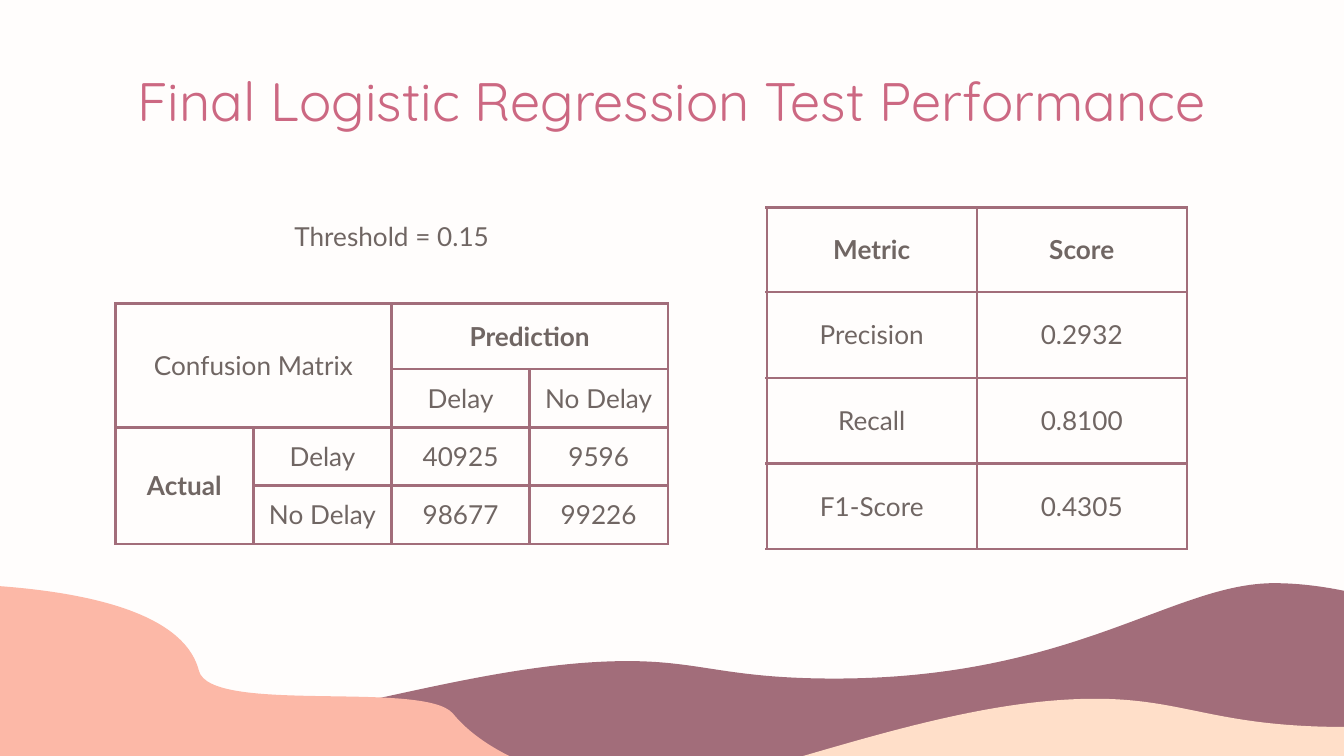
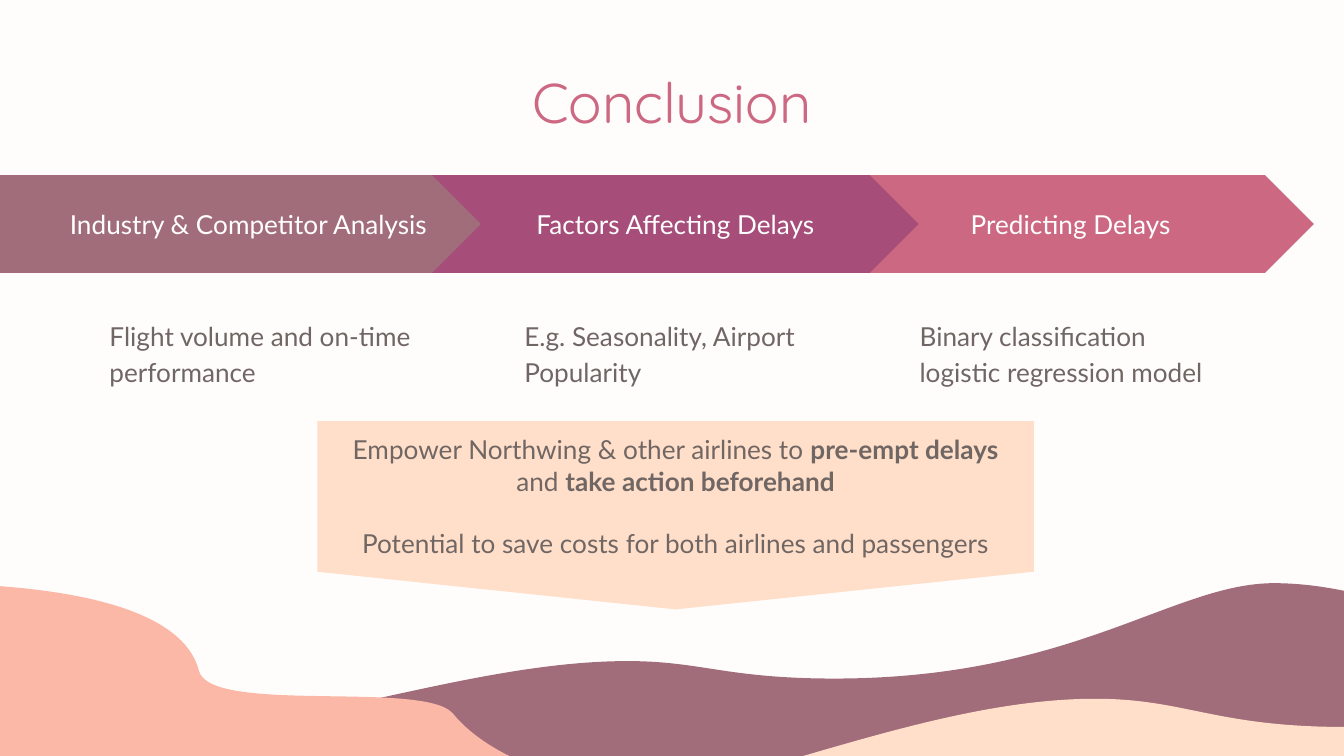
from dataclasses import dataclass
from typing import Any

import lxml.etree
import pptx
import pptx.dml.color
import pptx.enum.shapes
import pptx.enum.text
import pptx.oxml.ns
import pptx.slide
import pptx.util

Cm = pptx.util.Cm
Pt = pptx.util.Pt
qn = pptx.oxml.ns.qn
ALIGN = pptx.enum.text.PP_ALIGN
ANCHOR = pptx.enum.text.MSO_ANCHOR
PRESET = pptx.enum.shapes.MSO_SHAPE

PAPER, INK, WHITE = "FFFDFC", "706663", "FFFFFF"
ROSE, PLUM, MAUVE = "CC6882", "A64D79", "A26D7A"
PEACH, CREAM = "FCB8A7", "FFDFC9"
BODY_FONT, TITLE_FONT = "Lato", "Quicksand"
INSET = Cm(0.25)
BORDER = Pt(1.5)
WAVE_GRID = 1000  # drawing units per inch

Point = tuple[float, float]
Run = tuple[str, bool]


@dataclass(frozen=True)
class Box:
    """A place on the slide, in centimetres."""
    left: float
    top: float
    width: float
    height: float

    def emu(self) -> list[int]:
        return [Cm(v) for v in (self.left, self.top, self.width, self.height)]


@dataclass(frozen=True)
class Wave:
    """An outline in inches: a start, then curves (6 numbers) or lines (2)."""
    color: str
    start: Point
    segments: tuple[tuple[float, ...], ...]


@dataclass(frozen=True)
class Grid:
    left: float
    top: float
    column_width: float
    row_heights: tuple[float, ...]
    rows: tuple[tuple[str, ...], ...]
    bold_labels: tuple[str, ...]
    merges: tuple[tuple[int, int, int, int], ...] = ()


@dataclass(frozen=True)
class Step:
    label: str
    detail: str
    color: str
    preset: Any
    left: float
    width: float
    detail_left: float


WAVES = (
    Wave(MAUVE, (9.48, 4.34), (
        (8.73, 4.34, 7.99, 5.05, 6.21, 5.05), (5.4, 5.05, 5.22, 4.92, 4.67, 4.92),
        (3.73, 4.92, 2.69, 5.27, 1.76, 5.4), (1.32, 5.47, 0.91, 5.59, 0.49, 5.71),
        (0.49, 6.47),
        (1.29, 6.25, 2.22, 6.08, 3.14, 6.08), (4.27, 6.08, 5.15, 6.38, 6.31, 6.38),
        (7.89, 6.38, 7.69, 5.81, 9.21, 5.81), (9.65, 5.81, 10.17, 5.87, 10.71, 5.92),
        (10.71, 4.59), (10.29, 4.46, 9.89, 4.34, 9.48, 4.34))),
    Wave(PEACH, (-0.68, 4.34), (
        (-0.68, 6.96),
        (-0.54, 6.95, -0.38, 6.94, -0.24, 6.94), (0.93, 6.94, 1.15, 7.29, 1.71, 7.29),
        (2.08, 7.29, 3.54, 6.82, 5.14, 6.82), (6.22, 6.82, 6.53, 6.99, 7.03, 6.99),
        (7.05, 6.99, 7.06, 6.99, 7.08, 6.99), (7.57, 6.99, 7.97, 6.82, 7.96, 6.61),
        (7.96, 5.94, 4.22, 6.35, 3.37, 5.31), (3.16, 5.06, 1.56, 5.32, 1.48, 4.99),
        (1.35, 4.49, 0.39, 4.34, -0.63, 4.34))),
    Wave(CREAM, (13.94, 4.27), (
        (13.03, 4.27, 12.14, 5.41, 10.01, 5.41), (9.04, 5.41, 8.82, 5.2, 8.15, 5.2),
        (7.03, 5.2, 5.78, 5.75, 4.67, 5.97), (4.14, 6.08, 3.64, 6.27, 3.14, 6.46),
        (3.14, 7.68),
        (4.1, 7.32, 5.22, 7.05, 6.33, 7.05), (7.68, 7.05, 8.73, 7.53, 10.13, 7.53),
        (12.03, 7.53, 11.79, 6.62, 13.61, 6.62), (14.14, 6.62, 14.76, 6.72, 15.41, 6.8),
        (15.41, 4.68), (14.91, 4.47, 14.43, 4.27, 13.94, 4.27))),
)

CONFUSION_MATRIX = Grid(
    2.18, 5.74, 2.61, (1.24, 1.1, 1.1, 1.1),
    (("Confusion Matrix", "", "Prediction", ""),
     ("", "", "Delay", "No Delay"),
     ("Actual", "Delay", "40925", "9596"),
     ("", "No Delay", "98677", "99226")),
    ("Prediction", "Actual"),
    ((0, 0, 1, 1), (0, 2, 0, 3), (2, 0, 3, 0)))

METRICS = Grid(
    14.49, 3.92, 3.97, (1.6, 1.62, 1.62, 1.62),
    (("Metric", "Score"), ("Precision", "0.2932"),
     ("Recall", "0.8100"), ("F1-Score", "0.4305")),
    ("Metric", "Score"))

# Back to front: the middle chevron overlaps both neighbours.
STEPS = (
    Step("Predicting Delays", "Binary classification logistic regression model",
         ROSE, PRESET.CHEVRON, 15.64, 9.19, 17.13),
    Step("Industry & Competitor Analysis", "Flight volume and on-time performance",
         MAUVE, PRESET.PENTAGON, 0, 9.86, 1.82),
    Step("Factors Affecting Delays", "E.g. Seasonality, Airport Popularity",
         PLUM, PRESET.CHEVRON, 8.17, 9.19, 9.66),
)

TAKEAWAYS: list[list[Run]] = [
    [("Empower Northwing & other airlines to ", False), ("pre-empt delays ", True),
     ("and ", False), ("take action beforehand", True)],
    [("Potential to save costs for both airlines and passengers", False)],
]


def rgb(color: str) -> pptx.dml.color.RGBColor:
    return pptx.dml.color.RGBColor.from_string(color)


def apply(target: Any, formats: dict[str, Any]) -> None:
    for attribute, value in formats.items():
        setattr(target, attribute, value)


def paint(shape: Any, color: str) -> None:
    """Give a shape a flat fill without outline or shadow."""
    shape.fill.solid()
    shape.fill.fore_color.rgb = rgb(color)
    shape.line.fill.background()
    shape.shadow.inherit = False


def write(frame: Any, paragraphs: list[list[Run]], color: str = INK, size: float = 14,
          font: str = BODY_FONT, **paragraph_format: Any) -> None:
    for index, runs in enumerate(paragraphs):
        paragraph = frame.add_paragraph() if index else frame.paragraphs[0]
        apply(paragraph, paragraph_format)
        for text, bold in runs:
            run = paragraph.add_run()
            run.text = text
            apply(run.font, {"name": font, "size": Pt(size), "bold": bold})
            run.font.color.rgb = rgb(color)


def set_frame(frame: Any, anchor: Any = ANCHOR.TOP) -> None:
    apply(frame, {"word_wrap": True, "auto_size": pptx.enum.text.MSO_AUTO_SIZE.NONE,
                  "vertical_anchor": anchor, "margin_left": INSET, "margin_right": INSET,
                  "margin_top": INSET, "margin_bottom": INSET})


def add_wave(slide: pptx.slide.Slide, wave: Wave) -> Any:
    """Build the outline from its end points, then bend the curved segments."""
    corners = [(round(x * WAVE_GRID), round(y * WAVE_GRID))
               for x, y in (wave.start, *(segment[-2:] for segment in wave.segments))]
    builder = slide.shapes.build_freeform(*corners[0], scale=Cm(2.54) / WAVE_GRID)
    builder.add_line_segments(corners[1:], close=True)
    shape = builder.convert_to_shape()
    left, top = (min(values) for values in zip(*corners))
    sides = list(shape.element.iter(qn("a:lnTo")))
    for side, segment in zip(sides, wave.segments):
        if len(segment) == 2:
            continue
        side.tag = qn("a:cubicBezTo")
        for position, (x, y) in enumerate((segment[:2], segment[2:4])):
            control = lxml.etree.Element(qn("a:pt"), x=str(round(x * WAVE_GRID) - left),
                                         y=str(round(y * WAVE_GRID) - top))
            side.insert(position, control)
    paint(shape, wave.color)
    return shape


def decorate_master(master: Any, slide: pptx.slide.Slide) -> None:
    """Set the background and move waves drawn on a slide to the master."""
    master.background.fill.solid()
    master.background.fill.fore_color.rgb = rgb(PAPER)
    for depth, wave in enumerate(WAVES):
        master.shapes.element.insert(2 + depth, add_wave(slide, wave).element)


def add_title(slide: pptx.slide.Slide, text: str, size: float) -> None:
    title = slide.shapes.title
    place = Box(2, 1.02, 21.4, 1.6).emu()
    apply(title, dict(zip(("left", "top", "width", "height"), place)))
    set_frame(title.text_frame)
    write(title.text_frame, [[(text, False)]], ROSE, size, TITLE_FONT,
          alignment=ALIGN.CENTER)


def add_text(slide: pptx.slide.Slide, box: Box, text: str, **paragraph_format: Any) -> None:
    frame = slide.shapes.add_textbox(*box.emu()).text_frame
    set_frame(frame)
    write(frame, [[(text, False)]], **paragraph_format)


def add_panel(slide: pptx.slide.Slide, preset: Any, box: Box, fill: str,
              paragraphs: list[list[Run]], color: str) -> Any:
    """Add a filled preset shape with centred text and return its text frame."""
    panel = slide.shapes.add_shape(preset, *box.emu())
    paint(panel, fill)
    set_frame(panel.text_frame, ANCHOR.MIDDLE)
    write(panel.text_frame, paragraphs, color, alignment=ALIGN.CENTER)
    return panel.text_frame


def draw_borders(cell: Any) -> None:
    properties = cell._tc.get_or_add_tcPr()
    for position, side in enumerate(("lnL", "lnR", "lnT", "lnB")):
        line = lxml.etree.Element(qn(f"a:{side}"), w=str(BORDER))
        fill = lxml.etree.SubElement(line, qn("a:solidFill"))
        lxml.etree.SubElement(fill, qn("a:srgbClr"), val=MAUVE)
        properties.insert(position, line)


def add_grid(slide: pptx.slide.Slide, grid: Grid) -> None:
    column_count = len(grid.rows[0])
    box = Box(grid.left, grid.top, grid.column_width * column_count, sum(grid.row_heights))
    table = slide.shapes.add_table(len(grid.rows), column_count, *box.emu()).table
    apply(table, {"first_row": False, "horz_banding": False})
    for column in table.columns:
        column.width = Cm(grid.column_width)
    for row, height in zip(table.rows, grid.row_heights):
        row.height = Cm(height)
    for top, left, bottom, right in grid.merges:
        table.cell(top, left).merge(table.cell(bottom, right))
    for r, labels in enumerate(grid.rows):
        for c, label in enumerate(labels):
            cell = table.cell(r, c)
            cell.fill.background()
            draw_borders(cell)
            apply(cell, {"vertical_anchor": ANCHOR.MIDDLE, "margin_left": INSET,
                         "margin_right": INSET, "margin_top": INSET,
                         "margin_bottom": INSET})
            if label:
                write(cell.text_frame, [[(label, label in grid.bold_labels)]],
                      alignment=ALIGN.CENTER)


def build_performance(slide: pptx.slide.Slide) -> None:
    add_title(slide, "Final Logistic Regression Test Performance", 29)
    add_grid(slide, CONFUSION_MATRIX)
    add_grid(slide, METRICS)
    add_text(slide, Box(4.05, 3.92, 6.71, 1.32), "Threshold = 0.15",
             alignment=ALIGN.CENTER)


def build_conclusion(slide: pptx.slide.Slide) -> None:
    add_title(slide, "Conclusion", 30)
    for step in STEPS:
        add_panel(slide, step.preset, Box(step.left, 3.31, step.width, 1.85), step.color,
                  [[(step.label, False)]], WHITE)
        add_text(slide, Box(step.detail_left, 5.72, 6.22, 7.26), step.detail,
                 alignment=ALIGN.LEFT, line_spacing=1.15)
    takeaway = add_panel(slide, PRESET.FLOWCHART_OFFPAGE_CONNECTOR,
                         Box(6, 7.96, 13.54, 3.56), CREAM, TAKEAWAYS, INK)
    takeaway.paragraphs[1].space_before = Pt(16.8)


def main() -> None:
    deck = pptx.Presentation()
    apply(deck, {"slide_width": Cm(25.4), "slide_height": Cm(14.29)})
    title_only = deck.slide_layouts[5]
    performance = deck.slides.add_slide(title_only)
    decorate_master(deck.slide_master, performance)
    build_performance(performance)
    build_conclusion(deck.slides.add_slide(title_only))
    deck.save("out.pptx")


if __name__ == "__main__":
    main()
